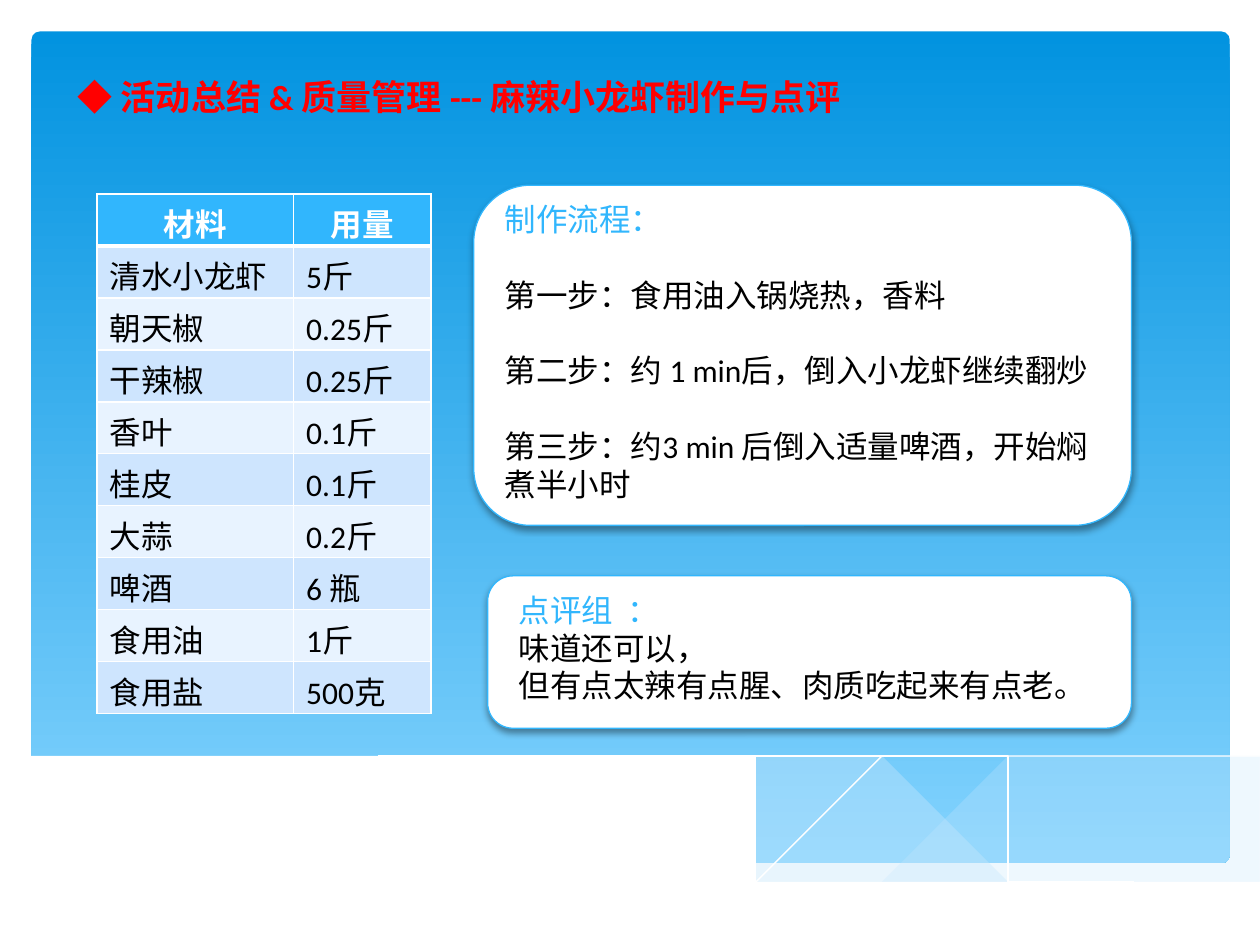
from dataclasses import dataclass
from typing import Optional

from lxml import etree
from pptx import Presentation
from pptx.dml.color import RGBColor
from pptx.enum.shapes import MSO_SHAPE
from pptx.enum.text import MSO_ANCHOR, PP_ALIGN
from pptx.oxml.ns import qn
from pptx.util import Inches, Pt

ROUND = MSO_SHAPE.ROUNDED_RECTANGLE
BOTTOM = MSO_ANCHOR.BOTTOM
CENTER = PP_ALIGN.CENTER
LEFT = PP_ALIGN.LEFT

WHITE = RGBColor(0xFF, 0xFF, 0xFF)
BLACK = RGBColor(0x00, 0x00, 0x00)
RED = RGBColor(0xFF, 0x00, 0x00)
BLUE = RGBColor(0x31, 0xB6, 0xFD)
DEEP = RGBColor(0x02, 0x93, 0xE0)
SKY = RGBColor(0x83, 0xD3, 0xFE)
MIST = RGBColor(0xC6, 0xE7, 0xFC)
BANDS = (RGBColor(0xE8, 0xF3, 0xFF), RGBColor(0xCE, 0xE5, 0xFE))
FONT = "Calibri"
STEPS = 8

Point = tuple[float, float]


@dataclass
class Wave:
    curves: list[list[Point]]
    fill: Optional[RGBColor] = None
    alpha: int = 100


@dataclass
class Card:
    box: tuple[float, float, float, float]
    text: tuple[float, float, float, float]
    lines: list[str]
    gap: float = 0


WAVES = [
    Wave([[(9.77, 6.01), (8.62, 6.25), (7.54, 6.5), (6.62, 6.67)],
          [(6.62, 6.67), (7.46, 6.77), (8.36, 6.79), (9.07, 6.71), (9.77, 6.49)]],
         MIST, 29),
    Wave([[(8.94, 6.75), (7.76, 6.56), (6.3, 6.24), (5.15, 6), (4, 5.88), (2.87, 5.93)],
          [(2.87, 5.93), (4.5, 6.24), (6.02, 6.57), (7.49, 6.78), (8.94, 6.75)]],
         MIST, 40),
    Wave([[(3.1, 5.97), (4.17, 5.89), (5.82, 6.02), (7.28, 6.28), (9.08, 6.73)]]),
    Wave([[(6.14, 6.59), (7.49, 6.25), (8.67, 6), (9.76, 5.87)]]),
    Wave([[(9.77, 6.48), (8.99, 6.71), (7.93, 6.78), (6.48, 6.64), (4.47, 6.22),
           (2.92, 5.92), (1.77, 5.86), (0.95, 5.93), (0.23, 6.15)],
          [(0.23, 7.31), (9.77, 7.31)]], WHITE),
]

CARDS = [
    Card((3.76, 1.47, 5.22, 2.7), (3.91, 1.54, 5.06, 2.52),
         ["制作流程：", "第一步：食用油入锅烧热，香料",
          "第二步：约 1 min后，倒入小龙虾继续翻炒",
          "第三步：约3 min 后倒入适量啤酒，开始焖煮半小时"], 21.6),
    Card((3.87, 4.57, 5.11, 1.21), (4.02, 4.64, 4.71, 1.01),
         ["点评组  ：", "味道还可以，", "但有点太辣有点腥、肉质吃起来有点老。"]),
]

ROWS = [("材料", "用量"), ("清水小龙虾", "5斤"), ("朝天椒", "0.25斤"),
        ("干辣椒", "0.25斤"), ("香叶", "0.1斤"), ("桂皮", "0.1斤"),
        ("大蒜", "0.2斤"), ("啤酒", "6 瓶"), ("食用油", "1斤"),
        ("食用盐", "500克")]


def add(parent, tag: str, **attrs):
    return etree.SubElement(parent, qn(tag), attrs)


def style(para, size: float, color: RGBColor, bold: bool = False) -> None:
    font = para.font
    font.name, font.size, font.bold = FONT, Pt(size), bold
    font.color.rgb = color


def text_box(slide, box: tuple):
    frame = slide.shapes.add_textbox(*map(Inches, box)).text_frame
    frame.word_wrap = True
    return frame


def blend(a: float, b: float, c: float, d: float, t: float) -> float:
    bend = 2 * a - 5 * b + 4 * c - d
    twist = 3 * (b - c) + d - a
    return b + t * (c - a + t * (bend + t * twist)) / 2


def smooth(knots: list[Point]) -> list[Point]:
    ends = [knots[0], *knots, knots[-1]]
    points = [knots[0]]
    for near in zip(ends, ends[1:], ends[2:], ends[3:]):
        for i in range(1, STEPS + 1):
            x, y = (blend(*axis, i / STEPS) for axis in zip(*near))
            points.append((x, y))
    return points


def draw_back(slide) -> None:
    panel = slide.shapes.add_shape(ROUND, *map(Inches, (0.25, 0.25, 9.51, 6.6)))
    panel.adjustments[0] = 0.01
    panel.shadow.inherit = False
    panel.line.fill.background()
    panel.fill.gradient()
    panel.fill.gradient_angle = 270
    for stop, color, place in zip(panel.fill.gradient_stops, (DEEP, SKY), (0, 1)):
        stop.color.rgb = color
        stop.position = place


def draw_wave(slide, wave: Wave) -> None:
    solid = wave.fill is not None
    points = [point for curve in wave.curves for point in smooth(curve)]
    path = slide.shapes.build_freeform(*points[0], scale=Inches(1))
    path.add_line_segments(points[1:], close=solid)
    shape = path.convert_to_shape()
    shape.shadow.inherit = False
    if not solid:
        shape.fill.background()
        shape.line.color.rgb = WHITE
        shape.line.width = Pt(0)
        return
    shape.line.fill.background()
    shape.fill.solid()
    shape.fill.fore_color.rgb = wave.fill
    if wave.alpha < 100:
        color = shape._element.spPr.find(qn("a:solidFill")).find(qn("a:srgbClr"))
        add(color, "a:alpha", val=str(wave.alpha * 1000))


def draw_card(slide, card: Card) -> None:
    shape = slide.shapes.add_shape(ROUND, *map(Inches, card.box))
    shape.fill.solid()
    shape.fill.fore_color.rgb = WHITE
    shape.line.color.rgb = BLUE
    shape.line.width = Pt(0.75)
    shape.shadow.inherit = False
    effects = shape._element.spPr.find(qn("a:effectLst"))
    shade = add(effects, "a:outerShdw", blurRad=str(Pt(4)), dist=str(Pt(2)),
                dir="5400000", rotWithShape="0")
    add(add(shade, "a:srgbClr", val=str(BLACK)), "a:alpha", val="38000")
    frame = text_box(slide, card.text)
    for i, line in enumerate(card.lines):
        para = frame.add_paragraph() if i else frame.paragraphs[0]
        para.text = line
        style(para, 18, BLACK if i else BLUE)
        para.space_before = Pt(card.gap if i else 0)


def draw_edges(cell, head: bool) -> None:
    props = cell._tc.get_or_add_tcPr()
    for side in "LRTB":
        width = Pt(3 if head and side == "B" else 1)
        edge = add(props, "a:ln" + side, w=str(width))
        add(add(edge, "a:solidFill"), "a:srgbClr", val=str(WHITE))


def draw_table(slide) -> None:
    high = 4.06 / len(ROWS)
    table = slide.shapes.add_table(
        len(ROWS), 2, *map(Inches, (0.77, 1.54, 2.65, 4.06))).table
    for col, width in zip(table.columns, (1.56, 1.09)):
        col.width = Inches(width)
    for r, row in enumerate(ROWS):
        table.rows[r].height = Inches(high)
        head = r == 0
        for c, word in enumerate(row):
            cell = table.cell(r, c)
            draw_edges(cell, head)
            cell.fill.solid()
            cell.fill.fore_color.rgb = BLUE if head else BANDS[r % 2]
            cell.vertical_anchor = BOTTOM
            cell.margin_bottom = 0
            cell.text = word
            para = cell.text_frame.paragraphs[0]
            para.alignment = CENTER if head else LEFT
            style(para, 18, WHITE if head else BLACK, head)


def draw_title(slide) -> None:
    para = text_box(slide, (0.52, 0.55, 8.45, 0.44)).paragraphs[0]
    style(para, 20, RED, True)
    mark = para.add_run()
    mark.text = "◆ "
    mark.font.name = "Arial"
    para.add_run().text = "活动总结 & 质量管理 --- 麻辣小龙虾制作与点评"


def main() -> None:
    deck = Presentation()
    deck.slide_width, deck.slide_height = Inches(10), Inches(7.5)
    slide = deck.slides.add_slide(deck.slide_layouts[6])
    draw_back(slide)
    for wave in WAVES:
        draw_wave(slide, wave)
    draw_table(slide)
    for card in CARDS:
        draw_card(slide, card)
    draw_title(slide)
    deck.save("out.pptx")


if __name__ == "__main__":
    main()
